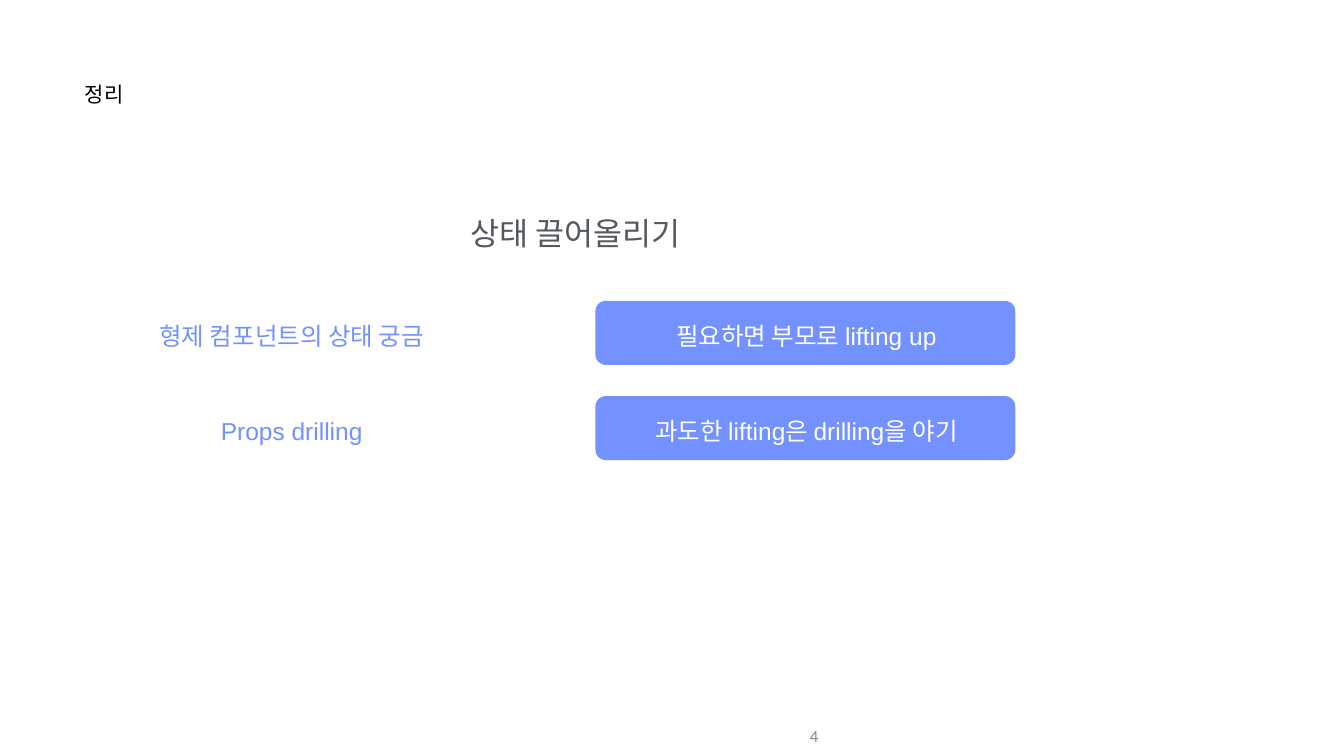
from pptx import Presentation
from pptx.dml.color import RGBColor
from pptx.enum import shapes, text
from pptx.util import Cm, Pt

BLACK = RGBColor(0x00, 0x00, 0x00)
WHITE = RGBColor(0xFF, 0xFF, 0xFF)
BLUE = RGBColor(0x73, 0x91, 0xFF)
SLATE = RGBColor(0x53, 0x58, 0x5F)
GREY = RGBColor(0x88, 0x88, 0x88)

LEFT, CENTER, RIGHT = text.PP_ALIGN.LEFT, text.PP_ALIGN.CENTER, text.PP_ALIGN.RIGHT
TOP, MIDDLE = text.MSO_ANCHOR.TOP, text.MSO_ANCHOR.MIDDLE

ROWS = [
    ("형제 컴포넌트의 상태 궁금", "필요하면 부모로 lifting up"),
    ("Props drilling", "과도한 lifting은 drilling을 야기"),
]
ROW_PITCH = 4.8


def add_text(page, box, words, size, color, align=CENTER, anchor=TOP,
             font="Arial", insets=(0.03, 0.03)):
    """Place one line of text in a box given in centimetres."""
    frame = page.shapes.add_textbox(*map(Cm, box)).text_frame
    frame.word_wrap = True
    frame.vertical_anchor = anchor
    frame.margin_left = frame.margin_right = Cm(insets[0])
    frame.margin_top = frame.margin_bottom = Cm(insets[1])
    frame.text = words
    para = frame.paragraphs[0]
    para.alignment = align
    span = para.runs[0]
    span.font.name = font
    span.font.size = Pt(size)
    span.font.color.rgb = color


def add_headings(page, left, top):
    """Slide title, with the topic centred over the rows."""
    add_text(page, (left, top, 12.34, 3), "정리", 30, BLACK, align=LEFT)
    add_text(page, (left + 2.47, top + 6.7, 44.55, 2), "상태 끌어올리기", 45, SLATE)


def add_row(page, left, top, label, advice):
    """Blue label on the left, filled button on the right."""
    button_left, button_width, text_top, text_height = left + 23.24, 21.16, top + 0.96, 1.57

    button = page.shapes.add_shape(
        shapes.MSO_SHAPE.ROUNDED_RECTANGLE,
        Cm(button_left), Cm(top), Cm(button_width), Cm(3.23))
    button.adjustments[0] = 0.164
    button.shadow.inherit = False
    button.fill.solid()
    button.fill.fore_color.rgb = BLUE
    button.line.fill.background()

    add_text(page, (left, text_top, 15.88, text_height), label, 35, BLUE, anchor=MIDDLE)
    add_text(page, (button_left + 0.05, text_top, button_width, text_height),
             advice, 35, WHITE, anchor=MIDDLE)


def add_page_number(page, left, top):
    add_text(page, (left, top, 15.24, 2), "4", 24, GREY, align=RIGHT,
             anchor=MIDDLE, font="Calibri", insets=(0.25, 0.13))


def main():
    deck = Presentation()
    deck.slide_width, deck.slide_height = Cm(67.72), Cm(38.1)
    page = deck.slides.add_slide(deck.slide_layouts[6])

    add_headings(page, 4.24, 4.06)
    for index, (label, advice) in enumerate(ROWS):
        add_row(page, 6.76, 15.16 + index * ROW_PITCH, label, advice)
    add_page_number(page, 26.24, 36.09)

    deck.save("out.pptx")


if __name__ == "__main__":
    main()
